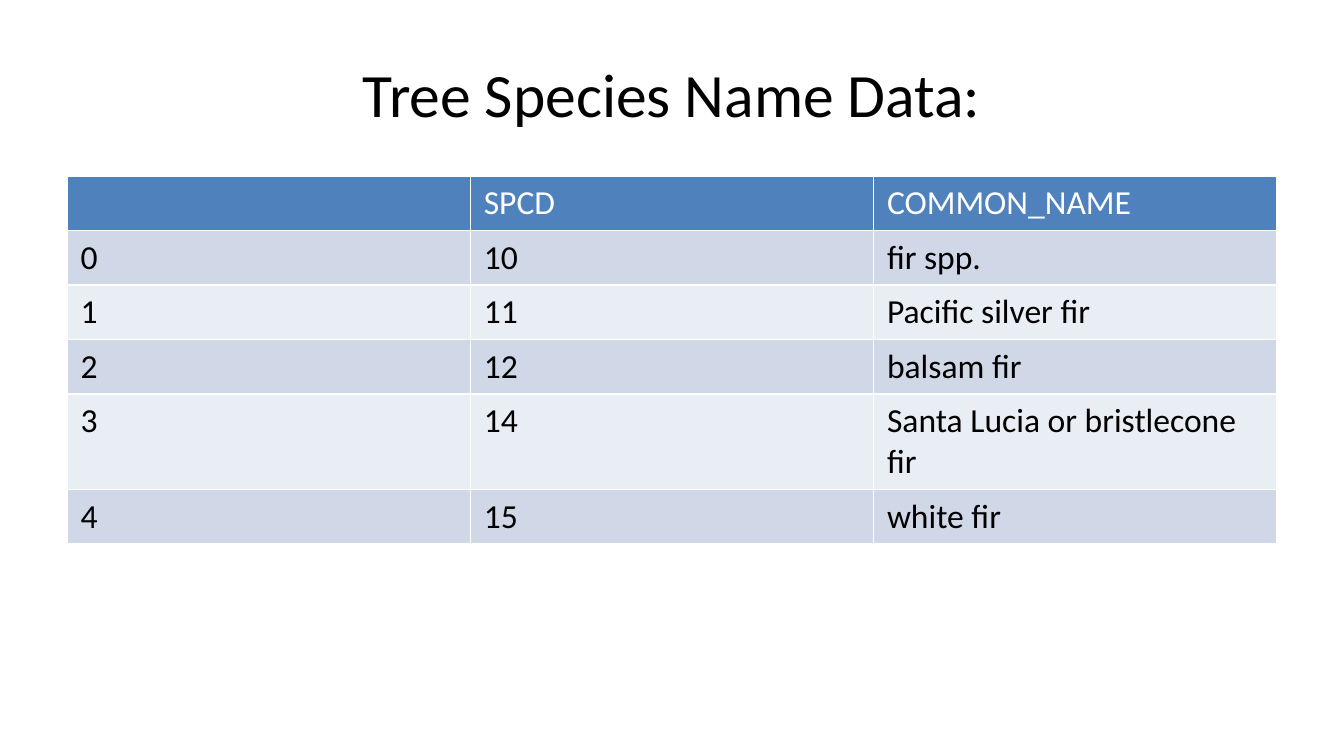
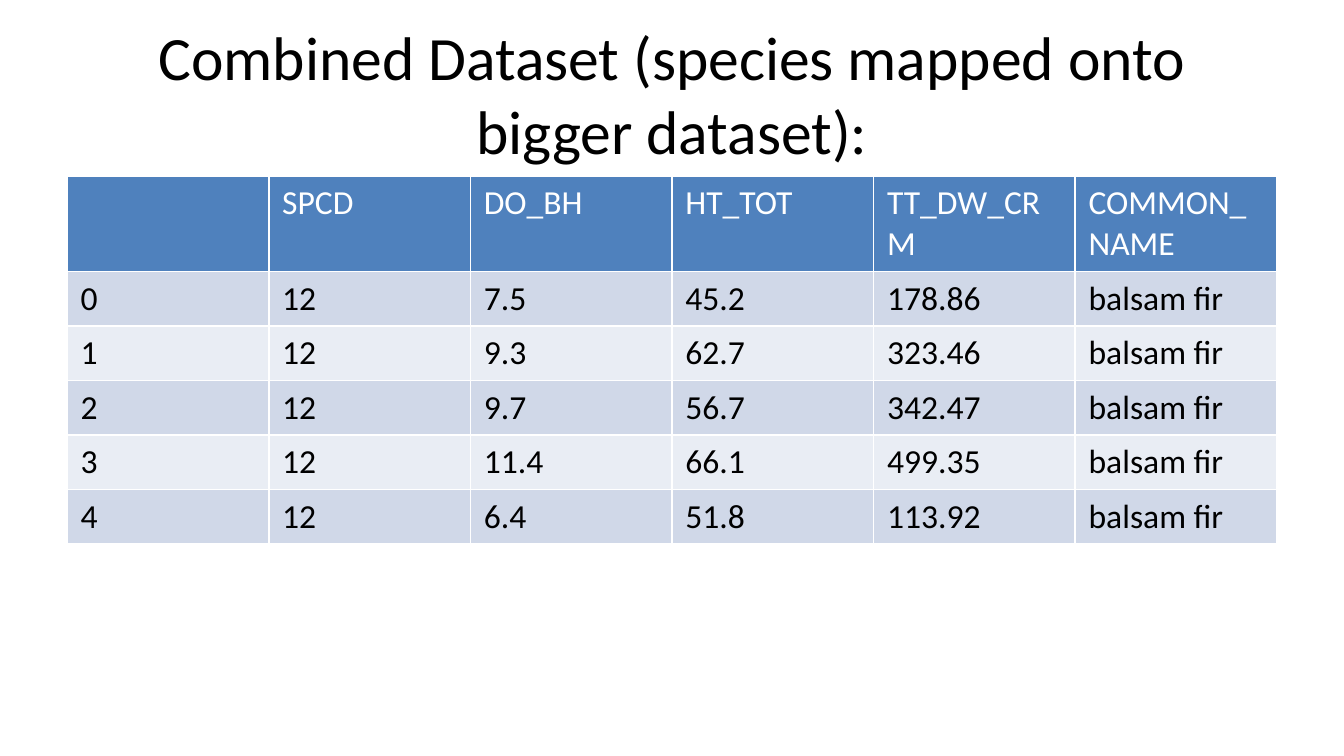
import pptx
import pptx.util
import pptx.dml.color
import pptx.enum.text
import pptx.oxml
import pptx.oxml.ns

Inches = pptx.util.Inches
Pt = pptx.util.Pt

COLORS = {
    "text": "000000",
    "header": "4F81BD",
    "header_text": "FFFFFF",
    "odd_band": "D0D8E8",
    "even_band": "E9EDF4",
    "border": "FFFFFF",
}
FONT = "Calibri"
LEFT = 0.5
WIDTH = 9
ROW_HEIGHT = 0.4
TALL_ROW_HEIGHT = 0.71

SPECIES_ROWS = [
    ["", "SPCD", "COMMON_NAME"],
    ["0", "10", "fir spp."],
    ["1", "11", "Pacific silver fir"],
    ["2", "12", "balsam fir"],
    ["3", "14", "Santa Lucia or bristlecone fir"],
    ["4", "15", "white fir"],
]
COMBINED_ROWS = [
    ["", "SPCD", "DO_BH", "HT_TOT", "TT_DW_CRM", "COMMON_NAME"],
    ["0", "12", "7.5", "45.2", "178.86", "balsam fir"],
    ["1", "12", "9.3", "62.7", "323.46", "balsam fir"],
    ["2", "12", "9.7", "56.7", "342.47", "balsam fir"],
    ["3", "12", "11.4", "66.1", "499.35", "balsam fir"],
    ["4", "12", "6.4", "51.8", "113.92", "balsam fir"],
]


def rgb(name):
    return pptx.dml.color.RGBColor.from_string(COLORS[name])


def add_run(paragraph, text, size, color):
    run = paragraph.add_run()
    run.text = text
    run.font.name = FONT
    run.font.size = Pt(size)
    run.font.color.rgb = rgb(color)


def add_title(slide, text):
    title = slide.shapes.title
    title.left, title.top = Inches(LEFT), Inches(0.22)
    title.width, title.height = Inches(WIDTH), Inches(0.94)
    frame = title.text_frame
    frame.word_wrap = True
    frame.auto_size = pptx.enum.text.MSO_AUTO_SIZE.NONE
    frame.vertical_anchor = pptx.enum.text.MSO_ANCHOR.MIDDLE
    paragraph = frame.paragraphs[0]
    paragraph.alignment = pptx.enum.text.PP_ALIGN.CENTER
    add_run(paragraph, text, 33, "text")


def add_borders(cell):
    properties = cell._tc.get_or_add_tcPr()
    for side in "LRTB":
        properties.append(pptx.oxml.parse_xml(
            f'<a:ln{side} {pptx.oxml.ns.nsdecls("a")} w="{Pt(1)}">'
            f'<a:solidFill><a:srgbClr val="{COLORS["border"]}"/></a:solidFill>'
            f'</a:ln{side}>'))


def fill_cell(cell, text, fill, color):
    add_borders(cell)
    cell.fill.solid()
    cell.fill.fore_color.rgb = rgb(fill)
    if text:
        add_run(cell.text_frame.paragraphs[0], text, 18, color)


def add_data_table(slide, rows, tall_row):
    heights = [TALL_ROW_HEIGHT if index == tall_row else ROW_HEIGHT
               for index in range(len(rows))]
    table = slide.shapes.add_table(
        len(rows), len(rows[0]), Inches(LEFT), Inches(1.31),
        Inches(WIDTH), Inches(sum(heights))).table
    for row_index, values in enumerate(rows):
        table.rows[row_index].height = Inches(heights[row_index])
        if row_index == 0:
            style = ("header", "header_text")
        else:
            style = ("odd_band" if row_index % 2 else "even_band", "text")
        for column_index, value in enumerate(values):
            fill_cell(table.cell(row_index, column_index), value, *style)


def add_table_slide(deck, title, rows, tall_row):
    slide = deck.slides.add_slide(deck.slide_layouts[5])
    add_title(slide, title)
    add_data_table(slide, rows, tall_row)


def main():
    deck = pptx.Presentation()
    deck.slide_width = Inches(10)
    deck.slide_height = Inches(10 * 9 / 16)
    add_table_slide(deck, "Tree Species Name Data:", SPECIES_ROWS, 4)
    add_table_slide(deck, "Combined Dataset (species mapped onto bigger dataset):",
                    COMBINED_ROWS, 0)
    deck.save("out.pptx")


if __name__ == "__main__":
    main()
